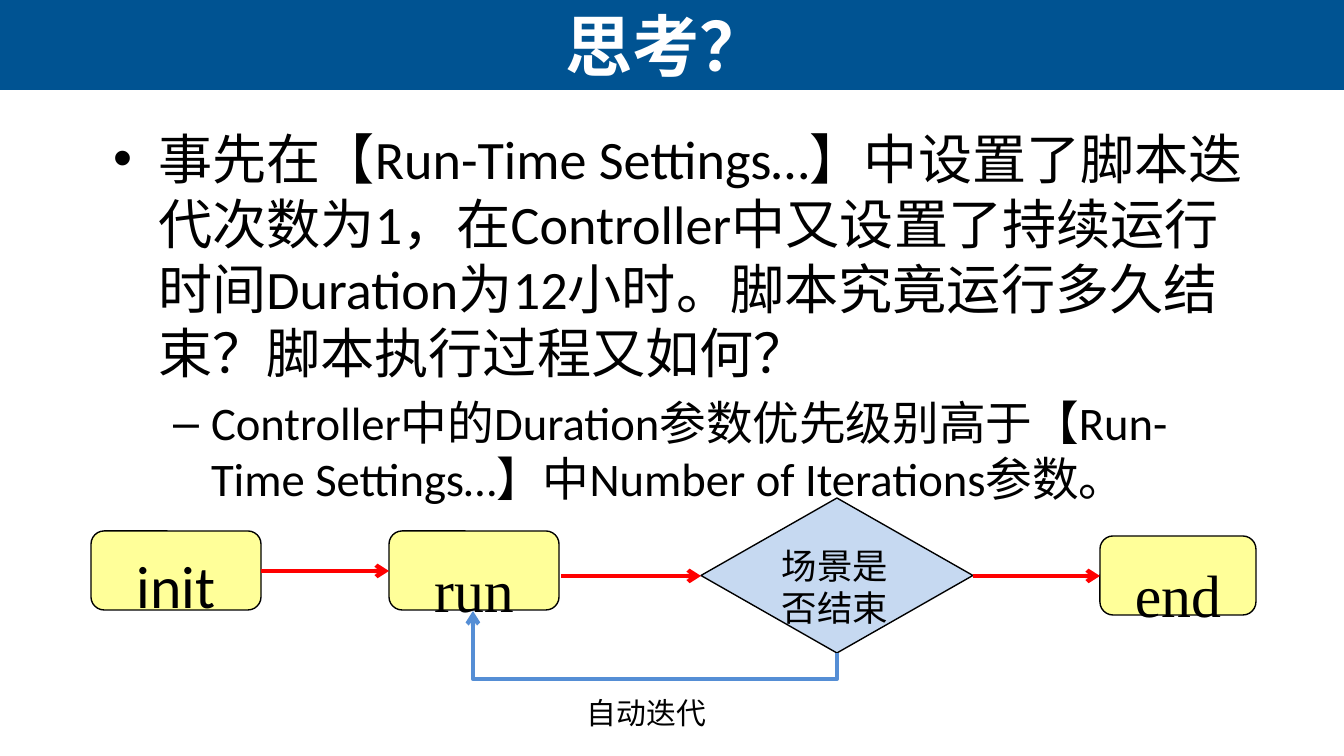
from dataclasses import dataclass

import pptx
import pptx.dml.color
import pptx.enum.shapes
import pptx.enum.text
import pptx.oxml
import pptx.oxml.ns
import pptx.util

EMU_PER_PX = 914400 / 134.4
SHAPE = pptx.enum.shapes.MSO_SHAPE
CONNECTOR = pptx.enum.shapes.MSO_CONNECTOR
ALIGN = pptx.enum.text.PP_ALIGN
ANCHOR = pptx.enum.text.MSO_ANCHOR
BLACK, WHITE, RED, BLUE = "000000", "FFFFFF", "FF0000", "558ED5"


@dataclass(frozen=True)
class Box:
    left: int
    top: int
    width: int
    height: int


@dataclass(frozen=True)
class Node:
    text: str
    box: Box
    font: str = "Times New Roman"
    size: int = 32
    fill: str = "FFFF99"
    preset: int = SHAPE.ROUNDED_RECTANGLE
    align: int = ALIGN.CENTER
    inset_top: int = 18


@dataclass(frozen=True)
class Arrow:
    start: tuple[int, int]
    end: tuple[int, int]


@dataclass(frozen=True)
class Bullet:
    text: str
    mark: str
    size: int
    indent: int
    hanging: int
    space_before: int


NODES = [
    Node("init", Box(91, 531, 170, 79), font="Calibri", inset_top=14),
    Node("run", Box(389, 531, 170, 79)),
    Node("end", Box(1100, 536, 156, 79)),
    Node("场景是否结束", Box(701, 498, 272, 155), size=19, fill="C6D9F1",
         preset=SHAPE.DIAMOND, align=ALIGN.LEFT, inset_top=7),
]
ARROWS = [
    Arrow((261, 571), (389, 571)),
    Arrow((561, 576), (701, 576)),
    Arrow((973, 576), (1100, 576)),
]
BULLETS = [
    Bullet("事先在【Run-Time Settings…】中设置了脚本迭代次数为1，在Controller中又设置了持续"
           "运行时间Duration为12小时。脚本究竟运行多久结束？脚本执行过程又如何？",
           "•", 29, 45, 45, 0),
    Bullet("Controller中的Duration参数优先级别高于【Run-Time Settings…】中"
           "Number of Iterations参数。",
           "–", 25, 98, 38, 5),
]


def px(length: float) -> int:
    return round(length * EMU_PER_PX)


def color(value: str) -> pptx.dml.color.RGBColor:
    return pptx.dml.color.RGBColor.from_string(value)


def bounds(box: Box) -> list[int]:
    return [px(n) for n in (box.left, box.top, box.width, box.height)]


def add_xml(parent, tag: str, **attributes: str):
    child = pptx.oxml.parse_xml(f"<a:{tag} {pptx.oxml.ns.nsdecls('a')}/>")
    for name, value in attributes.items():
        child.set(name, value)
    parent.append(child)
    return child


def style_paragraph(paragraph, font: str, size: int, ink: str = BLACK,
                    align: int = ALIGN.LEFT, bold: bool = False) -> None:
    paragraph.alignment = align
    for run in paragraph.runs:
        run.font.name = font
        run.font.size = pptx.util.Pt(size)
        run.font.bold = bold
        run.font.color.rgb = color(ink)


def set_frame(frame, insets: tuple[int, int, int, int], anchor: int = ANCHOR.TOP) -> None:
    frame.word_wrap = True
    frame.auto_size = pptx.enum.text.MSO_AUTO_SIZE.NONE
    frame.vertical_anchor = anchor
    (frame.margin_left, frame.margin_top,
     frame.margin_right, frame.margin_bottom) = [px(n) for n in insets]


def draw_title(slide) -> None:
    band = slide.shapes.add_shape(SHAPE.RECTANGLE, *bounds(Box(0, 0, 1344, 90)))
    band.shadow.inherit = False
    band.fill.solid()
    band.fill.fore_color.rgb = color("005392")
    band.line.fill.background()
    slide.shapes.element.insert(2, band.element)

    title = slide.shapes.title
    title.left, title.top, title.width, title.height = bounds(Box(3, 0, 1326, 90))
    title.text_frame.text = "思考？"
    set_frame(title.text_frame, (0, 0, 0, 0), ANCHOR.MIDDLE)
    style_paragraph(title.text_frame.paragraphs[0], "Arial", 36, WHITE, ALIGN.CENTER, True)


def draw_bullets(slide, bullets: list[Bullet], box: Box) -> None:
    frame = slide.shapes.add_textbox(*bounds(box)).text_frame
    set_frame(frame, (12, 9, 12, 6))
    for index, bullet in enumerate(bullets):
        paragraph = frame.add_paragraph() if index else frame.paragraphs[0]
        paragraph.text = bullet.text
        paragraph.level = index
        paragraph.space_before = pptx.util.Pt(bullet.space_before)
        properties = paragraph._p.get_or_add_pPr()
        properties.set("marL", str(px(bullet.indent)))
        properties.set("indent", str(-px(bullet.hanging)))
        add_xml(properties, "buFont", typeface="Arial")
        add_xml(properties, "buChar", char=bullet.mark)
        style_paragraph(paragraph, "Calibri", bullet.size)


def draw_node(slide, node: Node) -> None:
    shape = slide.shapes.add_shape(node.preset, *bounds(node.box))
    shape.shadow.inherit = False
    shape.fill.solid()
    shape.fill.fore_color.rgb = color(node.fill)
    shape.line.color.rgb = color(BLACK)
    shape.line.width = pptx.util.Pt(0.75)
    shape.text_frame.text = node.text
    set_frame(shape.text_frame, (13, node.inset_top, 13, 0))
    style_paragraph(shape.text_frame.paragraphs[0], node.font, node.size, align=node.align)


def draw_arrow(slide, arrow: Arrow, ink: str, kind: int = CONNECTOR.STRAIGHT):
    connector = slide.shapes.add_connector(
        kind, *[px(n) for n in (*arrow.start, *arrow.end)])
    connector.line.color.rgb = color(ink)
    connector.line.width = pptx.util.Pt(2.25)
    add_xml(connector.line._get_or_add_ln(), "tailEnd", type="arrow")
    add_xml(connector._element.spPr, "effectLst")
    return connector


def draw_loop(slide, arrow: Arrow, lowest: int) -> None:
    """Draw an elbow that drops to lowest and rises to its end, as a connector turned by 90°."""
    (start_x, start_y), (end_x, end_y) = arrow.start, arrow.end
    center_x, center_y = (start_x + end_x) / 2, (start_y + end_y) / 2
    rise, run = start_y - end_y, start_x - end_x
    unturned = Arrow((center_x + rise / 2, center_y - run / 2),
                     (center_x - rise / 2, center_y + run / 2))
    connector = draw_arrow(slide, unturned, BLUE, CONNECTOR.ELBOW)
    properties = connector._element.spPr
    properties.xfrm.set("rot", str(90 * 60000))
    guides = properties.prstGeom.get_or_add_avLst()
    bend = -round((lowest - start_y) / rise * 100000)
    add_xml(guides, "gd", name="adj1", fmla=f"val {bend}")


def draw_label(slide, text: str, box: Box) -> None:
    frame = slide.shapes.add_textbox(*bounds(box)).text_frame
    frame.text = text
    set_frame(frame, (13, 7, 13, 7))
    style_paragraph(frame.paragraphs[0], "Calibri", 16)


def main() -> None:
    presentation = pptx.Presentation()
    presentation.slide_width, presentation.slide_height = px(1344), px(756)
    slide = presentation.slides.add_slide(presentation.slide_layouts[5])
    draw_title(slide)
    draw_bullets(slide, BULLETS, Box(101, 116, 1156, 512))
    for node in NODES:
        draw_node(slide, node)
    for arrow in ARROWS:
        draw_arrow(slide, arrow, RED)
    draw_loop(slide, Arrow((837, 653), (473, 611)), lowest=679)
    draw_label(slide, "自动迭代", Box(574, 688, 245, 50))
    presentation.save("out.pptx")


if __name__ == "__main__":
    main()
